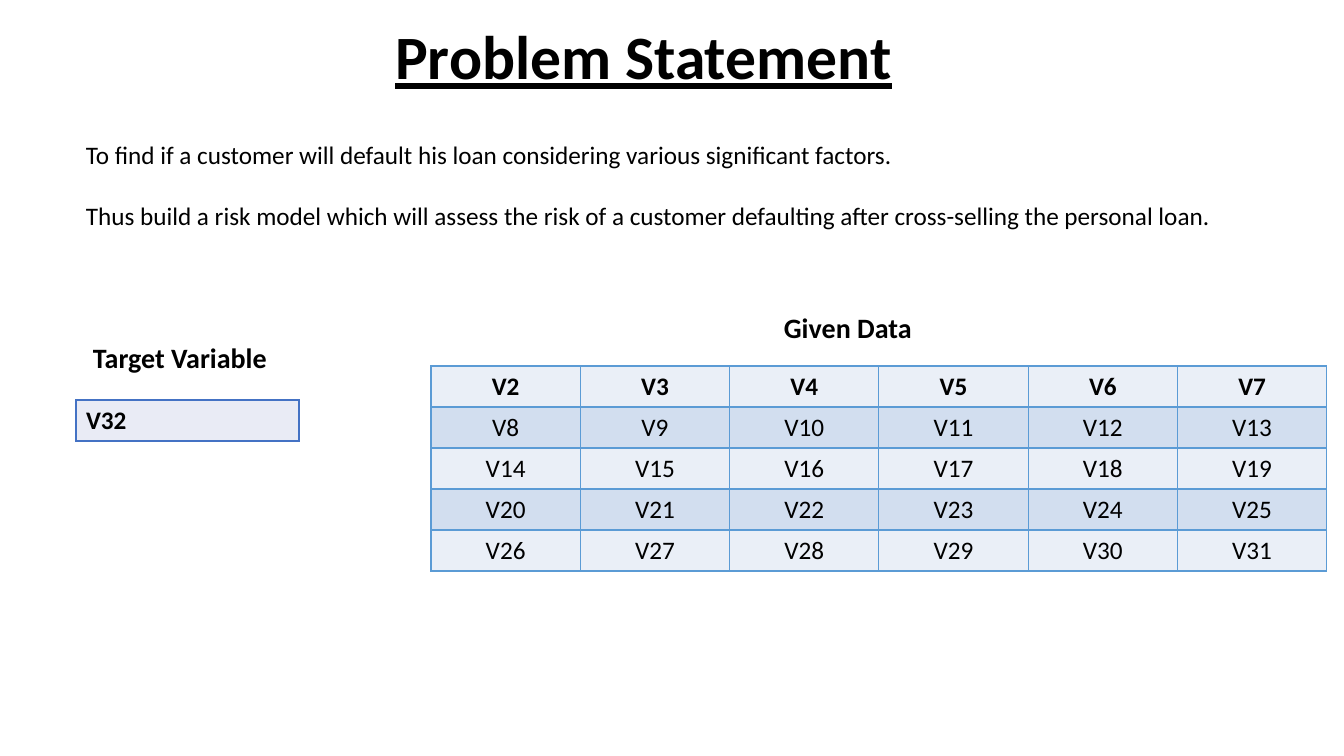
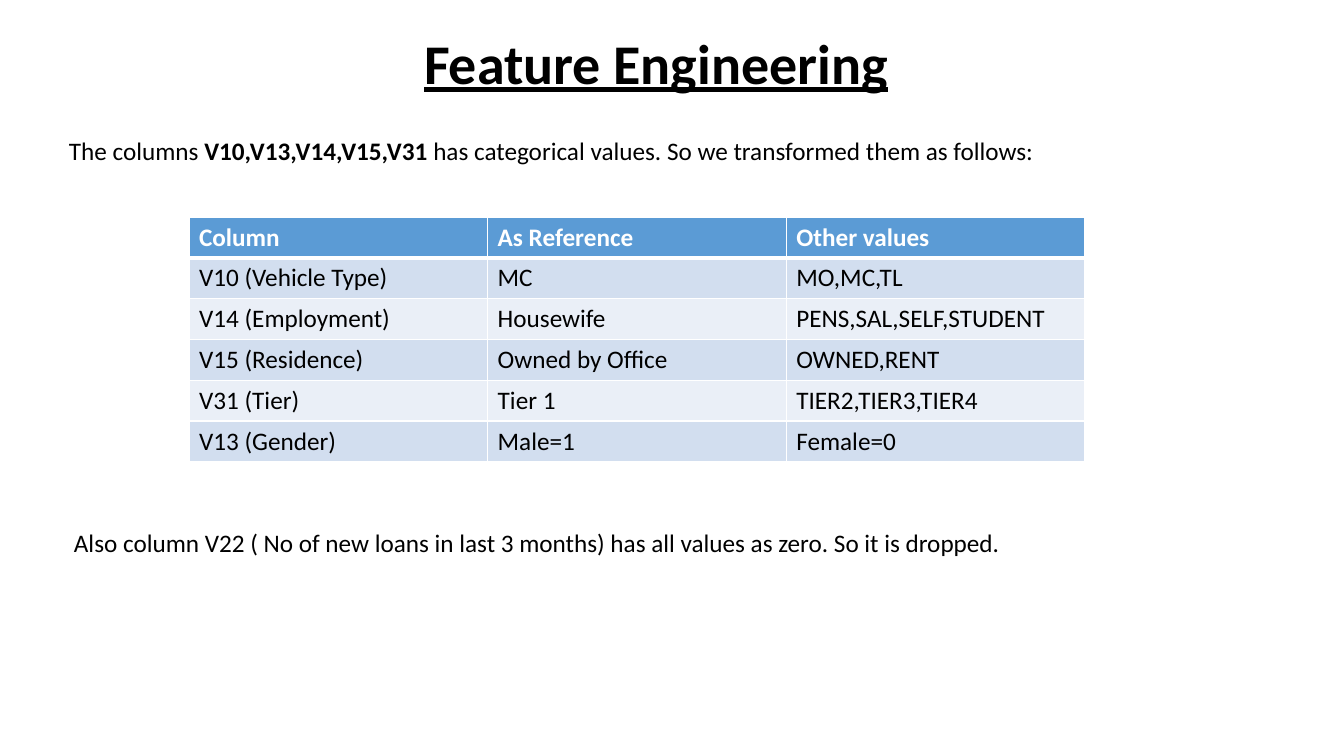
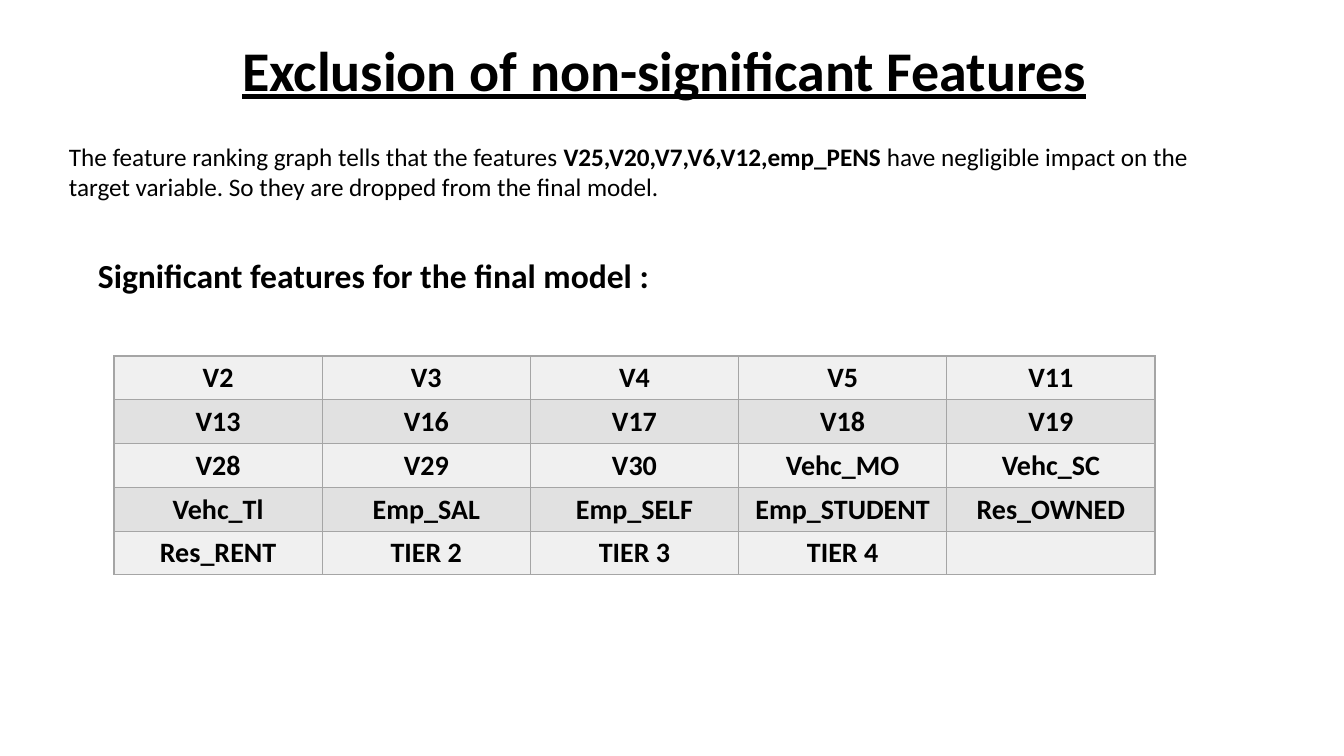
from dataclasses import dataclass

from lxml import etree
from pptx import Presentation
from pptx.dml.color import RGBColor
from pptx.enum.text import MSO_ANCHOR, MSO_AUTO_SIZE, PP_ALIGN
from pptx.oxml.ns import qn
from pptx.util import Pt

LEFT, CENTER = PP_ALIGN.LEFT, PP_ALIGN.CENTER
TOP = MSO_ANCHOR.TOP
GROW = MSO_AUTO_SIZE.SHAPE_TO_FIT_TEXT

EMU_PER_PIXEL = 914400 / 100.8
SLIDE_WIDTH, SLIDE_HEIGHT = 1344, 756
TITLE_ONLY_LAYOUT = 5
FONT = "Calibri"
COLORS = {
    "text": "000000",
    "white": "FFFFFF",
    "header": "5B9BD5",
    "blue_light": "EAEFF7",
    "blue_dark": "D2DEEF",
    "target_fill": "E9EBF5",
    "target_line": "4472C4",
    "gray_light": "F0F0F0",
    "gray_dark": "E1E1E1",
    "gray_line": "A5A5A5",
}


@dataclass(frozen=True)
class Box:
    left: int
    top: int
    width: int
    height: int

    def emu(self) -> list[int]:
        return [px(value) for value in (self.left, self.top, self.width, self.height)]


@dataclass(frozen=True)
class Title:
    text: str
    box: Box
    size: int = 40


@dataclass(frozen=True)
class TextBlock:
    """Paragraphs of runs; every second run of a paragraph is bold."""
    paragraphs: tuple[tuple[str, ...], ...]
    box: Box
    size: int = 18
    bold: bool = False
    gap: int = 0


@dataclass(frozen=True)
class Grid:
    rows: list[list[str]]
    box: Box
    bands: tuple[str, ...]
    border: str
    size: int = 18
    align: PP_ALIGN = CENTER
    bold_rows: int = 1
    header: bool = False


@dataclass(frozen=True)
class SlideContent:
    title: Title
    texts: tuple[TextBlock, ...]
    grids: tuple[Grid, ...]


def px(value: float) -> int:
    return round(value * EMU_PER_PIXEL)


def set_font(paragraph, size: int, bold: bool, color: str = "text") -> None:
    font = paragraph.font
    font.name, font.size, font.bold = FONT, Pt(size), bold
    font.color.rgb = RGBColor.from_string(COLORS[color])


def place(shape, box: Box) -> None:
    shape.left, shape.top, shape.width, shape.height = box.emu()


def fit_text(frame) -> None:
    frame.word_wrap = True
    frame.auto_size = GROW
    frame.vertical_anchor = TOP


def draw_title(slide, title: Title) -> None:
    shape = slide.shapes.title
    place(shape, title.box)
    fit_text(shape.text_frame)
    paragraph = shape.text_frame.paragraphs[0]
    paragraph.text = title.text
    paragraph.alignment = LEFT
    set_font(paragraph, title.size, True)
    paragraph.font.underline = True


def draw_text(slide, block: TextBlock) -> None:
    frame = slide.shapes.add_textbox(*block.box.emu()).text_frame
    fit_text(frame)
    for number, runs in enumerate(block.paragraphs):
        paragraph = frame.add_paragraph() if number else frame.paragraphs[0]
        set_font(paragraph, block.size, block.bold)
        if number:
            paragraph.space_before = Pt(block.gap)
        for position, text in enumerate(runs):
            run = paragraph.add_run()
            run.text = text
            if position % 2:
                run.font.bold = True


def set_borders(cell, color: str, bottom_width: int) -> None:
    properties = cell._tc.get_or_add_tcPr()
    for side in "LRTB":
        width = Pt(bottom_width if side == "B" else 1)
        line = etree.SubElement(properties, qn(f"a:ln{side}"), w=str(width))
        fill = etree.SubElement(line, qn("a:solidFill"))
        etree.SubElement(fill, qn("a:srgbClr"), val=COLORS[color])


def draw_grid(slide, grid: Grid) -> None:
    row_count, column_count = len(grid.rows), len(grid.rows[0])
    table = slide.shapes.add_table(row_count, column_count, *grid.box.emu()).table
    table.first_row = table.horz_banding = False
    for row_index, row in enumerate(grid.rows):
        is_header = grid.header and row_index == 0
        band = "header" if is_header else grid.bands[row_index % len(grid.bands)]
        for column_index, text in enumerate(row):
            cell = table.cell(row_index, column_index)
            set_borders(cell, grid.border, 3 if is_header else 1)
            cell.fill.solid()
            cell.fill.fore_color.rgb = RGBColor.from_string(COLORS[band])
            paragraph = cell.text_frame.paragraphs[0]
            if text:
                paragraph.text = text
            paragraph.alignment = grid.align
            set_font(paragraph, grid.size, row_index < grid.bold_rows,
                     "white" if is_header else "text")


# Slide content
PROBLEM = SlideContent(
    Title("Problem Statement", Box(385, 13, 806, 85), 44),
    (
        TextBlock(
            (("To find if a customer will default his loan considering various "
              "significant factors.",),
             ("Thus build a risk model which will assess the risk of a customer "
              "defaulting after cross-selling the personal loan.",)),
            Box(76, 134, 1210, 102), gap=22),
        TextBlock((("Target Variable",),), Box(83, 336, 381, 44), 20, True),
        TextBlock((("Given Data",),), Box(774, 306, 472, 44), 20, True),
    ),
    (
        Grid([["V32"]], Box(76, 400, 223, 41), ("target_fill",), "target_line",
             align=LEFT),
        Grid([[f"V{first + step}" for step in range(6)] for first in range(2, 32, 6)],
             Box(431, 366, 896, 205), ("blue_light", "blue_dark"), "header"),
    ),
)

ENGINEERING = SlideContent(
    Title("Feature Engineering", Box(414, 23, 770, 78)),
    (
        TextBlock(
            (("The columns ", "V10,V13,V14,V15,V31 ",
              "has categorical values. So we transformed them as follows:"),),
            Box(59, 130, 1250, 40)),
        TextBlock(
            (("Also column V22 ( No of new loans in last 3 months) has all values "
              "as zero. So it is dropped.",),),
            Box(64, 522, 1147, 40)),
    ),
    (
        Grid([
            ["Column", "As Reference", "Other values"],
            ["V10 (Vehicle Type)", "MC", "MO,MC,TL"],
            ["V14 (Employment)", "Housewife", "PENS,SAL,SELF,STUDENT"],
            ["V15 (Residence)", "Owned by Office", "OWNED,RENT"],
            ["V31 (Tier)", "Tier 1", "TIER2,TIER3,TIER4"],
            ["V13 (Gender)", "Male=1", "Female=0"],
        ], Box(189, 217, 896, 245), ("blue_light", "blue_dark"), "white",
            align=LEFT, header=True),
    ),
)

EXCLUSION = SlideContent(
    Title("Exclusion of non-significant Features", Box(232, 30, 1090, 78)),
    (
        TextBlock(
            (("The feature ranking graph tells that the features ",
              "V25,V20,V7,V6,V12,emp_PENS ",
              "have negligible impact on the target variable. So they are dropped "
              "from the final model."),),
            Box(59, 136, 1181, 72)),
        TextBlock((("Significant features for the final model :",),),
                  Box(88, 250, 767, 50), 24, True),
    ),
    (
        Grid([
            ["V2", "V3", "V4", "V5", "V11"],
            ["V13", "V16", "V17", "V18", "V19"],
            ["V28", "V29", "V30", "Vehc_MO", "Vehc_SC"],
            ["Vehc_Tl", "Emp_SAL", "Emp_SELF", "Emp_STUDENT", "Res_OWNED"],
            ["Res_RENT", "TIER 2", "TIER 3", "TIER 4", ""],
        ], Box(114, 356, 1041, 219), ("gray_light", "gray_dark"), "gray_line",
            size=20, bold_rows=5),
    ),
)


def build() -> None:
    presentation = Presentation()
    presentation.slide_width = px(SLIDE_WIDTH)
    presentation.slide_height = px(SLIDE_HEIGHT)
    layout = presentation.slide_layouts[TITLE_ONLY_LAYOUT]
    for content in (PROBLEM, ENGINEERING, EXCLUSION):
        slide = presentation.slides.add_slide(layout)
        draw_title(slide, content.title)
        for block in content.texts:
            draw_text(slide, block)
        for grid in content.grids:
            draw_grid(slide, grid)
    presentation.save("out.pptx")


build()
